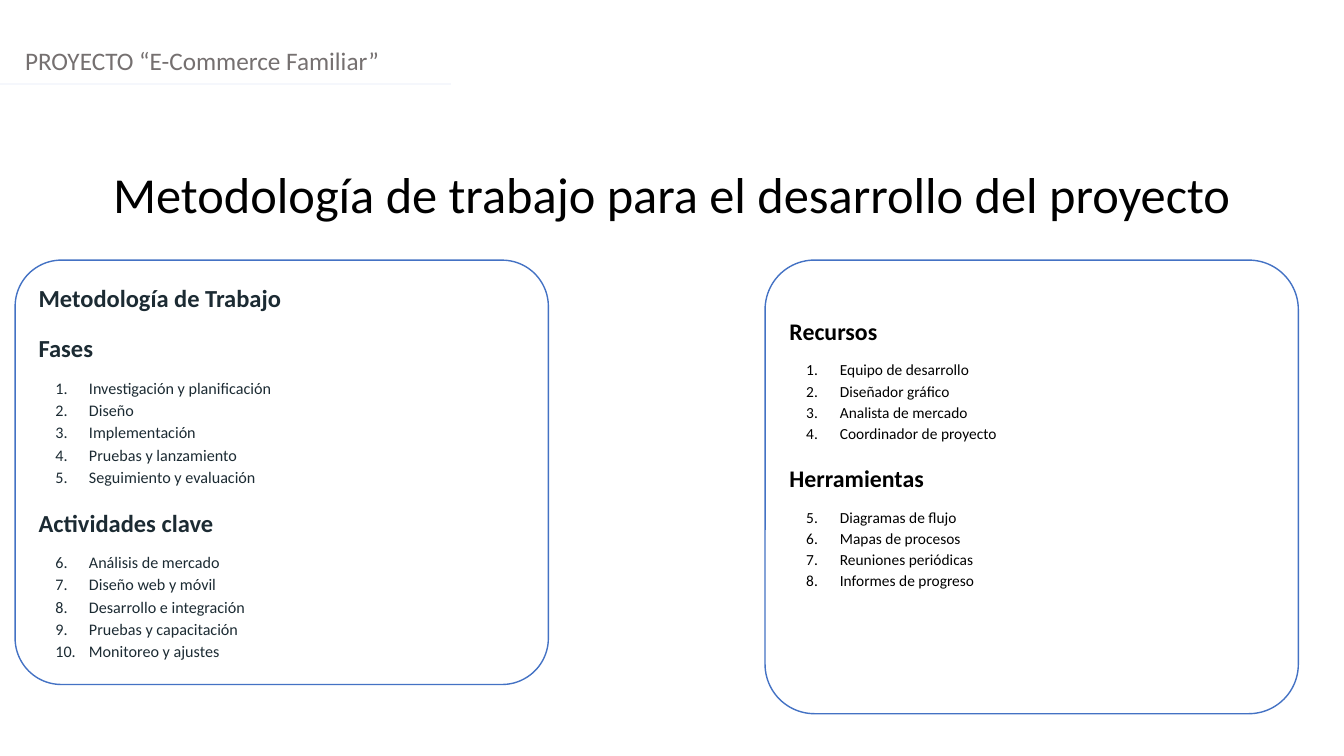
from dataclasses import dataclass

from lxml.etree import SubElement
from pptx import Presentation
from pptx.dml.color import RGBColor
from pptx.enum.shapes import MSO_CONNECTOR, MSO_SHAPE
from pptx.enum.text import MSO_ANCHOR, PP_ALIGN
from pptx.oxml.ns import qn
from pptx.slide import Slide
from pptx.text.text import TextFrame, _Paragraph
from pptx.util import Pt

WHITE = RGBColor(0xFF, 0xFF, 0xFF)
BLACK = RGBColor(0x00, 0x00, 0x00)
GRAY = RGBColor(0x75, 0x70, 0x70)
PALE = RGBColor(0xF5, 0xF7, 0xFC)
BLUE = RGBColor(0x44, 0x72, 0xC4)
SLATE = RGBColor(0x1C, 0x2B, 0x33)

FONT = "Calibri"
PAGE_WIDTH = 960
PANEL_TOP = 185.8
PANEL_WIDTH = 380.9
CORNER = 0.109


@dataclass(frozen=True)
class Section:
    heading: str
    items: tuple[str, ...] = ()


@dataclass(frozen=True)
class Panel:
    left: float
    height: float
    top_inset: float
    color: RGBColor
    heading_size: float
    item_size: float
    sections: tuple[Section, ...]


@dataclass(frozen=True)
class Label:
    text: str
    left: float
    top: float
    height: float
    size: float
    color: RGBColor
    alignment: PP_ALIGN


LABELS = (
    Label("PROYECTO “E-Commerce Familiar”", 10.8, 28.8, 29, 18, GRAY, PP_ALIGN.LEFT),
    Label("Metodología de trabajo para el desarrollo del proyecto",
          0, 113.2, 94.3, 36, BLACK, PP_ALIGN.CENTER),
)

PANELS = (
    Panel(10.8, 303.1, 3.6, SLATE, 17.5, 11.5, (
        Section("Metodología de Trabajo"),
        Section("Fases", (
            "Investigación y planificación",
            "Diseño",
            "Implementación",
            "Pruebas y lanzamiento",
            "Seguimiento y evaluación",
        )),
        Section("Actividades clave", (
            "Análisis de mercado",
            "Diseño web y móvil",
            "Desarrollo e integración",
            "Pruebas y capacitación",
            "Monitoreo y ajustes",
        )),
    )),
    Panel(546.5, 324, 27, BLACK, 17, 11, (
        Section("Recursos", (
            "Equipo de desarrollo",
            "Diseñador gráfico",
            "Analista de mercado",
            "Coordinador de proyecto",
        )),
        Section("Herramientas", (
            "Diagramas de flujo",
            "Mapas de procesos",
            "Reuniones periódicas",
            "Informes de progreso",
        )),
    )),
)


def style_font(para: _Paragraph, size: float, color: RGBColor, bold: bool = False) -> None:
    para.font.name = FONT
    para.font.size = Pt(size)
    para.font.bold = bold
    para.font.color.rgb = color


def number_paragraph(para: _Paragraph, start: int, color: RGBColor) -> None:
    properties = para._p.get_or_add_pPr()
    properties.set("marL", str(Pt(36)))
    properties.set("indent", str(Pt(-24)))
    bullet_color = SubElement(properties, qn("a:buClr"))
    SubElement(bullet_color, qn("a:srgbClr"), val=str(color))
    SubElement(properties, qn("a:buAutoNum"), type="arabicPeriod", startAt=str(start))


def add_paragraph(frame: TextFrame, text: str, space_before: float) -> _Paragraph:
    first = not frame.text
    para = frame.paragraphs[0] if first else frame.add_paragraph()
    para.text = text
    para.alignment = PP_ALIGN.LEFT
    para.line_spacing = 1.15
    para.space_before = Pt(0 if first else space_before)
    return para


def add_label(page: Slide, label: Label) -> None:
    box = page.shapes.add_textbox(
        Pt(label.left), Pt(label.top), Pt(PAGE_WIDTH), Pt(label.height))
    box.text_frame.word_wrap = True
    para = box.text_frame.paragraphs[0]
    para.text = label.text
    para.alignment = label.alignment
    style_font(para, label.size, label.color)


def add_rule(page: Slide) -> None:
    rule = page.shapes.add_connector(
        MSO_CONNECTOR.STRAIGHT, Pt(0), Pt(59.8), Pt(321.8), Pt(59.8))
    rule.line.color.rgb = PALE
    rule.line.width = Pt(1.25)
    SubElement(rule._element.spPr, qn("a:effectLst"))


def add_panel(page: Slide, panel: Panel) -> None:
    box = page.shapes.add_shape(
        MSO_SHAPE.ROUNDED_RECTANGLE,
        Pt(panel.left), Pt(PANEL_TOP), Pt(PANEL_WIDTH), Pt(panel.height))
    box.adjustments[0] = CORNER
    box.shadow.inherit = False
    box.fill.solid()
    box.fill.fore_color.rgb = WHITE
    box.line.color.rgb = BLUE
    box.line.width = Pt(1)
    frame = box.text_frame
    frame.word_wrap = True
    frame.vertical_anchor = MSO_ANCHOR.TOP
    frame.margin_top = Pt(panel.top_inset)
    start = 1
    for section in panel.sections:
        heading = add_paragraph(frame, section.heading, 12)
        style_font(heading, panel.heading_size, panel.color, bold=True)
        for index, item in enumerate(section.items):
            para = add_paragraph(frame, item, 0 if index else 9)
            number_paragraph(para, start, panel.color)
            style_font(para, panel.item_size, panel.color)
        start += len(section.items)


def main() -> None:
    deck = Presentation()
    deck.slide_width = Pt(PAGE_WIDTH)
    deck.slide_height = Pt(540)
    page = deck.slides.add_slide(deck.slide_layouts[6])
    for label in LABELS:
        add_label(page, label)
    add_rule(page)
    for panel in PANELS:
        add_panel(page, panel)
    deck.save("out.pptx")


if __name__ == "__main__":
    main()
